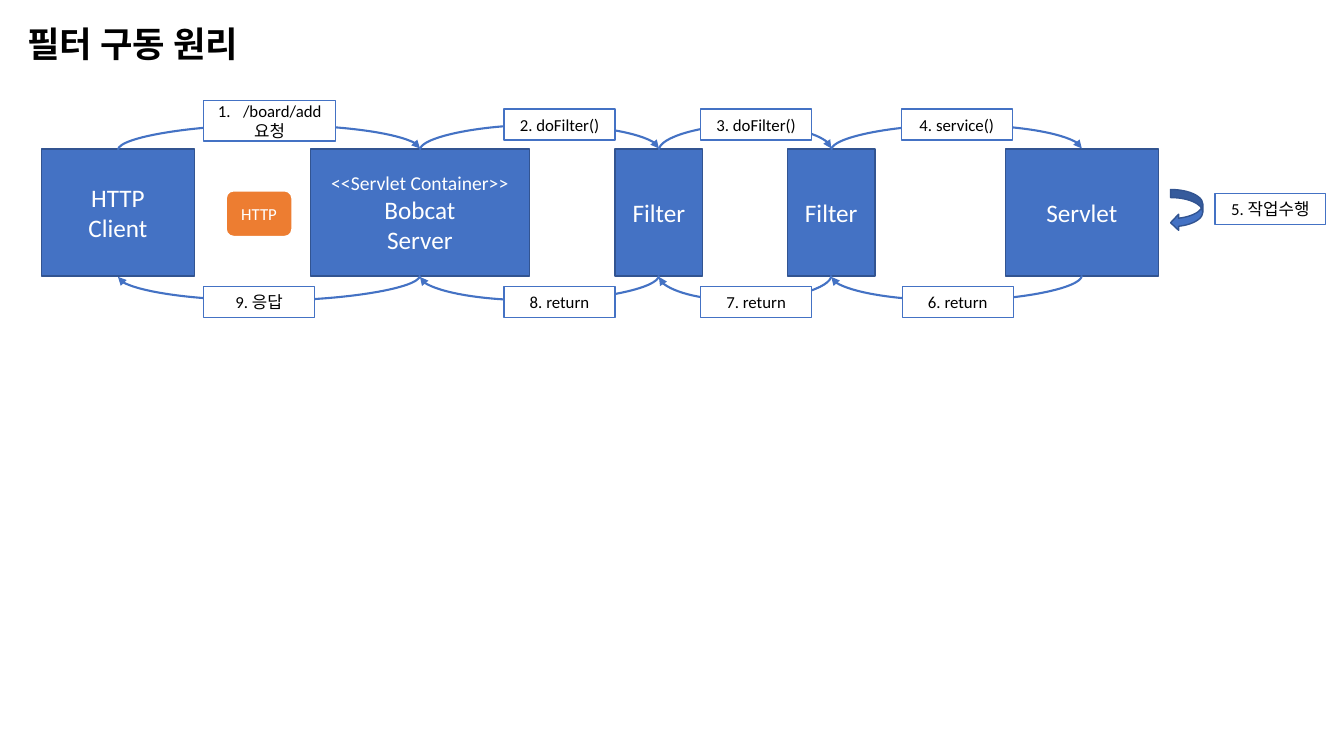
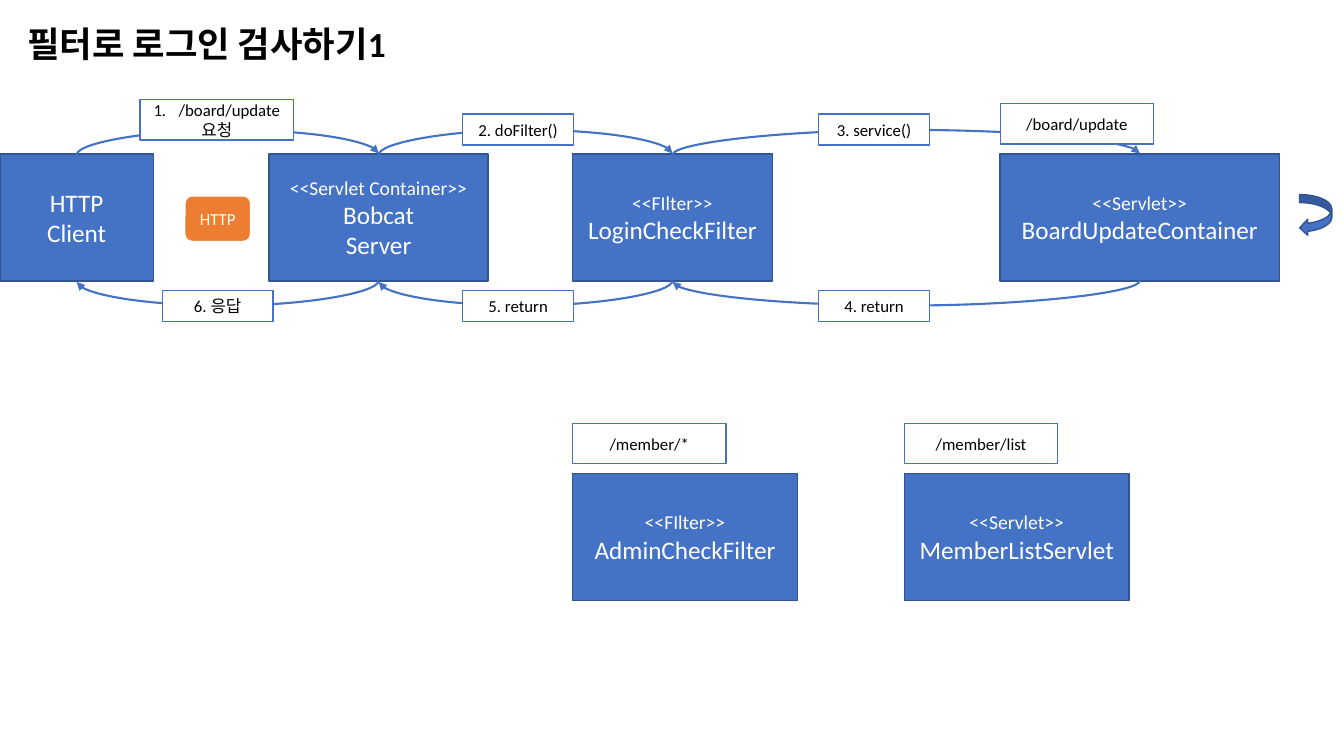
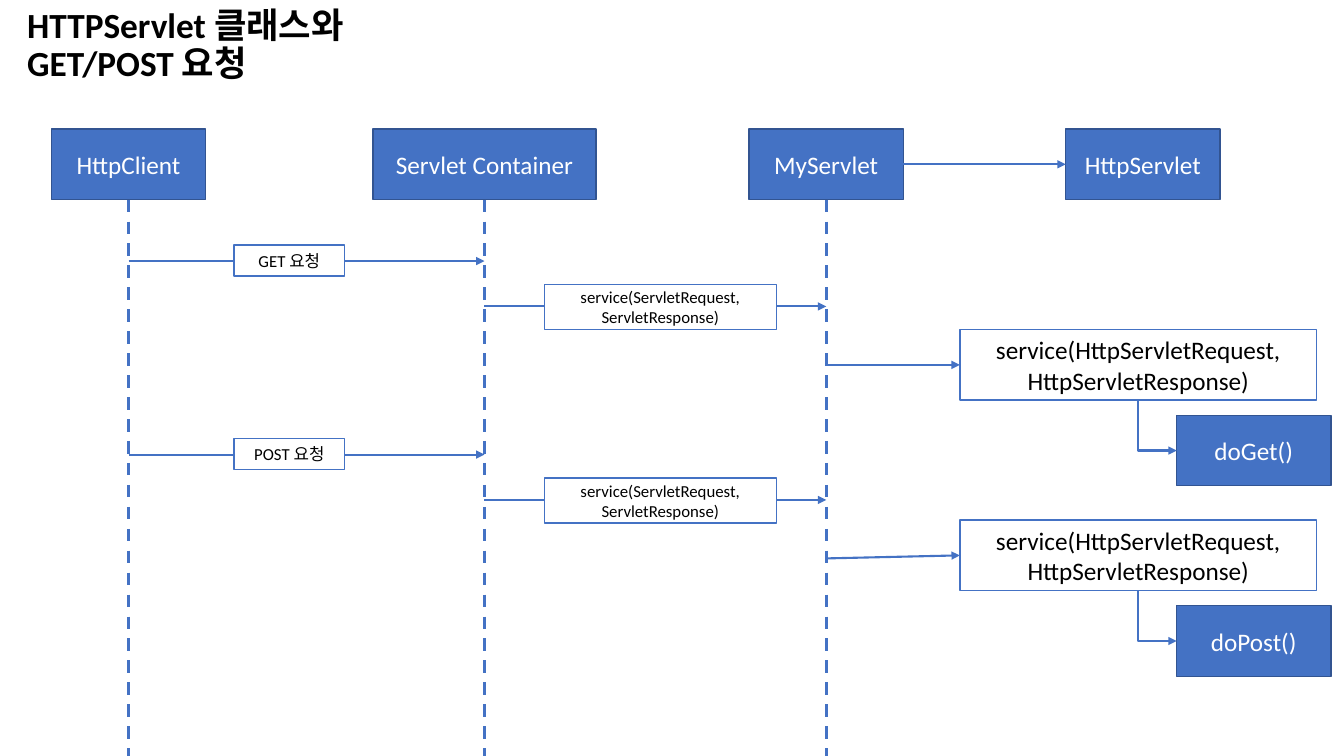
from dataclasses import dataclass
from itertools import pairwise
from typing import Optional

from lxml.etree import SubElement
from pptx import Presentation
from pptx.dml.color import RGBColor
from pptx.enum.dml import MSO_LINE
from pptx.enum.shapes import MSO_CONNECTOR, MSO_SHAPE
from pptx.enum.text import MSO_ANCHOR, MSO_AUTO_SIZE, PP_ALIGN
from pptx.oxml.ns import qn
from pptx.shapes.autoshape import Shape
from pptx.shapes.connector import Connector
from pptx.slide import Slide
from pptx.util import Inches, Pt

FONT = "Calibri"
COLORS = {
    "blue": "4472C4",
    "edge": "325491",
    "orange": "ED7D31",
    "white": "FFFFFF",
    "black": "000000",
}
TOP, LEFT, BOTTOM, RIGHT = range(4)  # connection sites of a rectangle


@dataclass(frozen=True)
class Style:
    fill: str
    line: str
    text: str
    size: float
    weight: float = 1
    shape: MSO_SHAPE = MSO_SHAPE.RECTANGLE


NODE = Style("blue", "edge", "white", 18)
LABEL = Style("white", "blue", "black", 12)
CALL = Style("white", "blue", "black", 18)
BADGE = Style("orange", "white", "white", 12, 1.5, MSO_SHAPE.ROUNDED_RECTANGLE)
LOOP = Style("blue", "edge", "white", 18, shape=MSO_SHAPE.CURVED_LEFT_ARROW)


@dataclass(frozen=True)
class Box:
    text: str
    left: float
    top: float
    width: float = 1.1
    height: float = 0.31
    style: Style = LABEL
    numbered: bool = False


def color(name: str) -> RGBColor:
    return RGBColor.from_string(COLORS[name])


def write(sp: Shape, text: str, *, size: float, ink: str, bold: bool = False,
          align: PP_ALIGN = PP_ALIGN.CENTER, spacing: Optional[float] = None,
          numbered: bool = False) -> None:
    """Fill a shape with one paragraph per line; stereotypes are smaller."""
    tf = sp.text_frame
    tf.word_wrap = True
    tf.auto_size = MSO_AUTO_SIZE.NONE
    tf.vertical_anchor = MSO_ANCHOR.MIDDLE
    for i, line in enumerate(text.split("\n")):
        p = tf.paragraphs[0] if i == 0 else tf.add_paragraph()
        p.alignment = align
        if spacing:
            p.line_spacing = spacing
        r = p.add_run()
        r.text = line
        r.font.name = FONT
        r.font.size = Pt(14 if line.startswith("<<") else size)
        r.font.bold = bold
        r.font.color.rgb = color(ink)
    if numbered:
        pr = tf.paragraphs[0]._p.get_or_add_pPr()
        pr.set("marL", str(Inches(0.25)))
        pr.set("indent", str(-Inches(0.25)))
        SubElement(pr, qn("a:buFont")).set("typeface", "+mj-lt")
        SubElement(pr, qn("a:buAutoNum")).set("type", "arabicPeriod")


def add_slide(title: str) -> Slide:
    slide = prs.slides.add_slide(prs.slide_layouts[5])
    sp = slide.shapes.title
    sp.left, sp.top = Inches(0.17), Inches(0.2)
    sp.width, sp.height = Inches(4.12), Inches(0.51)
    write(sp, title, size=25.2, ink="black", bold=True,
          align=PP_ALIGN.LEFT, spacing=0.9)
    return slide


def add_box(slide: Slide, box: Box) -> Shape:
    st = box.style
    sp = slide.shapes.add_shape(st.shape, Inches(box.left), Inches(box.top),
                                Inches(box.width), Inches(box.height))
    sp.shadow.inherit = False
    sp.fill.solid()
    sp.fill.fore_color.rgb = color(st.fill)
    sp.line.color.rgb = color(st.line)
    sp.line.width = Pt(st.weight)
    if box.text:
        write(sp, box.text, size=st.size, ink=st.text, numbered=box.numbered)
    return sp


def add_boxes(slide: Slide, boxes: list[Box]) -> list[Shape]:
    return [add_box(slide, box) for box in boxes]


def format_line(cx: Connector, *, weight: float = 1.5, dashed: bool = False,
                arrow: bool = True) -> None:
    cx.line.color.rgb = color("blue")
    cx.line.width = Pt(weight)
    if dashed:
        cx.line.dash_style = MSO_LINE.DASH
    if arrow:
        SubElement(cx.line._get_or_add_ln(), qn("a:tailEnd")).set("type", "triangle")
    SubElement(cx._element.spPr, qn("a:effectLst"))


def add_line(slide: Slide, x1: int, y1: int, x2: int, y2: int, **fmt) -> Connector:
    cx = slide.shapes.add_connector(MSO_CONNECTOR.STRAIGHT, x1, y1, x2, y2)
    format_line(cx, **fmt)
    return cx


def add_turned(slide: Slide, kind: MSO_CONNECTOR, start: tuple[Shape, int],
               end: tuple[Shape, int], center: tuple[int, int],
               size: tuple[int, int], **xfrm: str) -> Connector:
    """Glue a connector to two shapes and place its rotated frame."""
    cx = slide.shapes.add_connector(kind, 0, 0, 0, 0)
    cx.begin_connect(*start)
    cx.end_connect(*end)
    frame = cx._element.spPr.find(qn("a:xfrm"))
    for name in ("flipH", "flipV"):
        frame.attrib.pop(name, None)
    for name, value in xfrm.items():
        frame.set(name, value)
    cx.width, cx.height = size
    cx.left, cx.top = center[0] - size[0] // 2, center[1] - size[1] // 2
    format_line(cx)
    return cx


def mid_x(sp: Shape) -> int:
    return sp.left + sp.width // 2


def mid_y(sp: Shape) -> int:
    return sp.top + sp.height // 2


def add_arc(slide: Slide, a: Shape, b: Shape, site: int) -> None:
    """Arc a quarter inch beyond the shapes, over their tops or bottoms."""
    above = site == TOP
    y = a.top if above else a.top + a.height
    flips = {"flipH": "1", "flipV": "1"} if above else {}
    cx = add_turned(slide, MSO_CONNECTOR.CURVE, (a, site), (b, site),
                    ((mid_x(a) + mid_x(b)) // 2, y),
                    (Pt(1), abs(mid_x(b) - mid_x(a))), rot="5400000", **flips)
    guides = cx._element.spPr.find(qn("a:prstGeom")).get_or_add_avLst()
    guide = SubElement(guides, qn("a:gd"))
    guide.set("name", "adj1")
    guide.set("fmla", "val 1800000")


def add_elbow(slide: Slide, a: Shape, b: Shape) -> None:
    """Down from the bottom of a, then right to the side of b."""
    x, y = mid_x(a), a.top + a.height
    across, down = b.left - x, mid_y(b) - y
    cx = add_turned(slide, MSO_CONNECTOR.ELBOW, (a, BOTTOM), (b, LEFT),
                    (x + across // 2, y + down // 2), (down, across),
                    rot="16200000", flipH="1")
    cx._element.spPr.find(qn("a:prstGeom")).set("prst", "bentConnector2")


def add_round_trip(slide: Slide, nodes: list[Shape]) -> None:
    for a, b in pairwise(nodes):
        add_arc(slide, a, b, TOP)
    for a, b in pairwise(reversed(nodes)):
        add_arc(slide, a, b, BOTTOM)


def node(text: str, left: float, top: float, width: float = 1.52,
         height: float = 1.26) -> Box:
    return Box(text, left, top, width, height, NODE)


def badge(left: float, top: float) -> Box:
    return Box("HTTP", left, top, 0.66, 0.46, BADGE)


def loop(left: float, top: float) -> Box:
    return Box("", left, top, 0.32, 0.41, LOOP)


def url(text: str, left: float, top: float) -> Box:
    return Box(text, left, top, 1.52, 0.4)


prs = Presentation()
prs.slide_width, prs.slide_height = Inches(13.33), Inches(7.5)

CLIENT = "HTTP\nClient"
CONTAINER = "<<Servlet Container>>\nBobcat\nServer"

# Slide 1: how filters run
slide = add_slide("필터 구동 원리")
y = 1.48
add_round_trip(slide, add_boxes(slide, [
    node(CLIENT, 0.41, y),
    node(CONTAINER, 3.08, y, 2.17),
    node("Filter", 6.1, y, 0.87),
    node("Filter", 7.81, y, 0.87),
    node("Servlet", 9.97, y),
]))
add_boxes(slide, [
    loop(11.61, 1.88),
    badge(2.24, 1.89),
    Box("/board/add\n요청", 2.02, 1, 1.31, 0.4, numbered=True),
    Box("2. doFilter()", 5, 1.08),
    Box("3. doFilter()", 6.95, 1.08),
    Box("4. service()", 8.94, 1.08),
    Box("5. 작업수행", 12.05, 1.92),
    Box("6. return", 8.95, 2.84),
    Box("7. return", 6.95, 2.84),
    Box("8. return", 5, 2.84),
    Box("9. 응답", 2.02, 2.84),
])

# Slide 2: login check with a filter
slide = add_slide("필터로 로그인 검사하기1")
y = 1.53
add_round_trip(slide, add_boxes(slide, [
    node(CLIENT, 0, y),
    node(CONTAINER, 2.67, y, 2.17),
    node("<<FIlter>>\nLoginCheckFilter", 5.68, y, 1.98),
    node("<<Servlet>>\nBoardUpdateContainer", 9.92, y, 2.77),
]))
add_boxes(slide, [
    loop(12.89, 1.93),
    badge(1.83, 1.94),
    Box("/board/update\n요청", 1.39, 0.99, 1.52, 0.4, numbered=True),
    Box("2. doFilter()", 4.59, 1.13),
    Box("3. service()", 8.12, 1.13),
    Box("4. return", 8.12, 2.88),
    Box("5. return", 4.59, 2.88),
    Box("6. 응답", 1.61, 2.88),
    url("/board/update", 9.92, 1.03),
])
for path_text, name, x in (
    ("/member/*", "<<FIlter>>\nAdminCheckFilter", 5.68),
    ("/member/list", "<<Servlet>>\nMemberListServlet", 8.97),
):
    add_boxes(slide, [url(path_text, x, 4.2), node(name, x, 4.7, 2.23)])

# Slide 3: GET and POST sequence
slide = add_slide("HTTPServlet 클래스와 GET/POST 요청")
client, container, servlet, parent = add_boxes(slide, [
    node("HttpClient", 0.51, 1.28, 1.53, 0.7),
    node("Servlet Container", 3.7, 1.28, 2.21, 0.7),
    node("MyServlet", 7.43, 1.28, 1.53, 0.7),
    node("HttpServlet", 10.57, 1.28, 1.53, 0.7),
])
for sp in (client, container, servlet):
    cx = add_line(slide, mid_x(sp), sp.top + sp.height, mid_x(sp),
                  prs.slide_height, weight=2.25, dashed=True, arrow=False)
    cx.begin_connect(sp, BOTTOM)
cx = add_line(slide, servlet.left + servlet.width, mid_y(servlet),
              parent.left, mid_y(parent))
cx.begin_connect(servlet, RIGHT)
cx.end_connect(parent, LEFT)

for verb, y, call_top in (("Get", 2.59, 3.27), ("Post", 4.51, 5.16)):
    call, handler = add_boxes(slide, [
        Box("service(HttpServletRequest, HttpServletResponse)",
            9.52, call_top, 3.54, 0.7, CALL),
        node(f"do{verb}()", 11.67, call_top + 0.85, 1.53, 0.7),
    ])
    add_line(slide, mid_x(client), Inches(y), mid_x(container), Inches(y))
    add_line(slide, mid_x(container), Inches(y + 0.45),
             mid_x(servlet), Inches(y + 0.45))
    cx = add_line(slide, mid_x(servlet), Inches(y + 1.03), call.left, mid_y(call))
    cx.end_connect(call, LEFT)
    add_elbow(slide, call, handler)
    add_boxes(slide, [
        Box(f"{verb.upper()} 요청", 2.32, y - 0.16),
        Box("service(ServletRequest, ServletResponse)", 5.4, y + 0.23, 2.3, 0.45),
    ])

prs.save("out.pptx")
